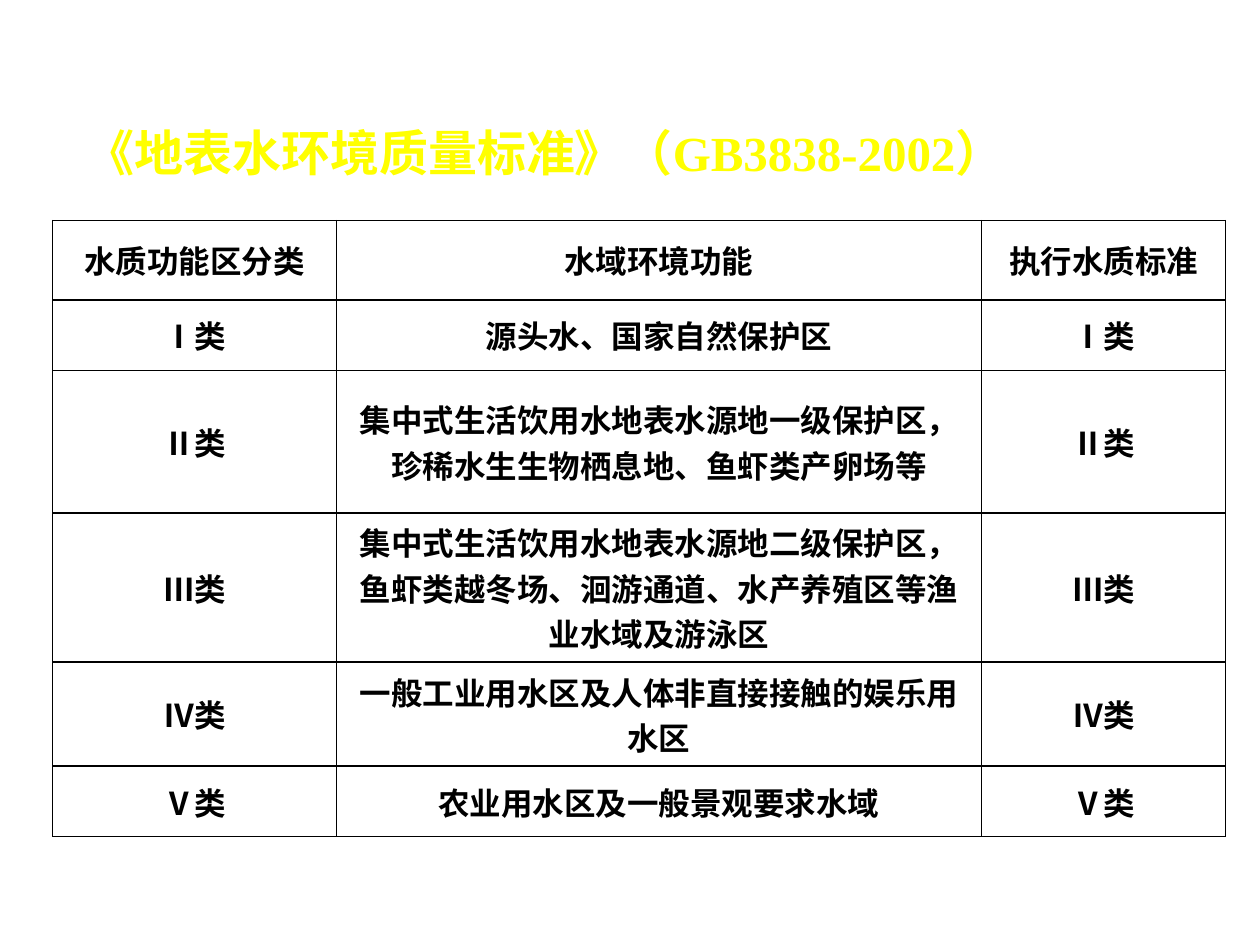
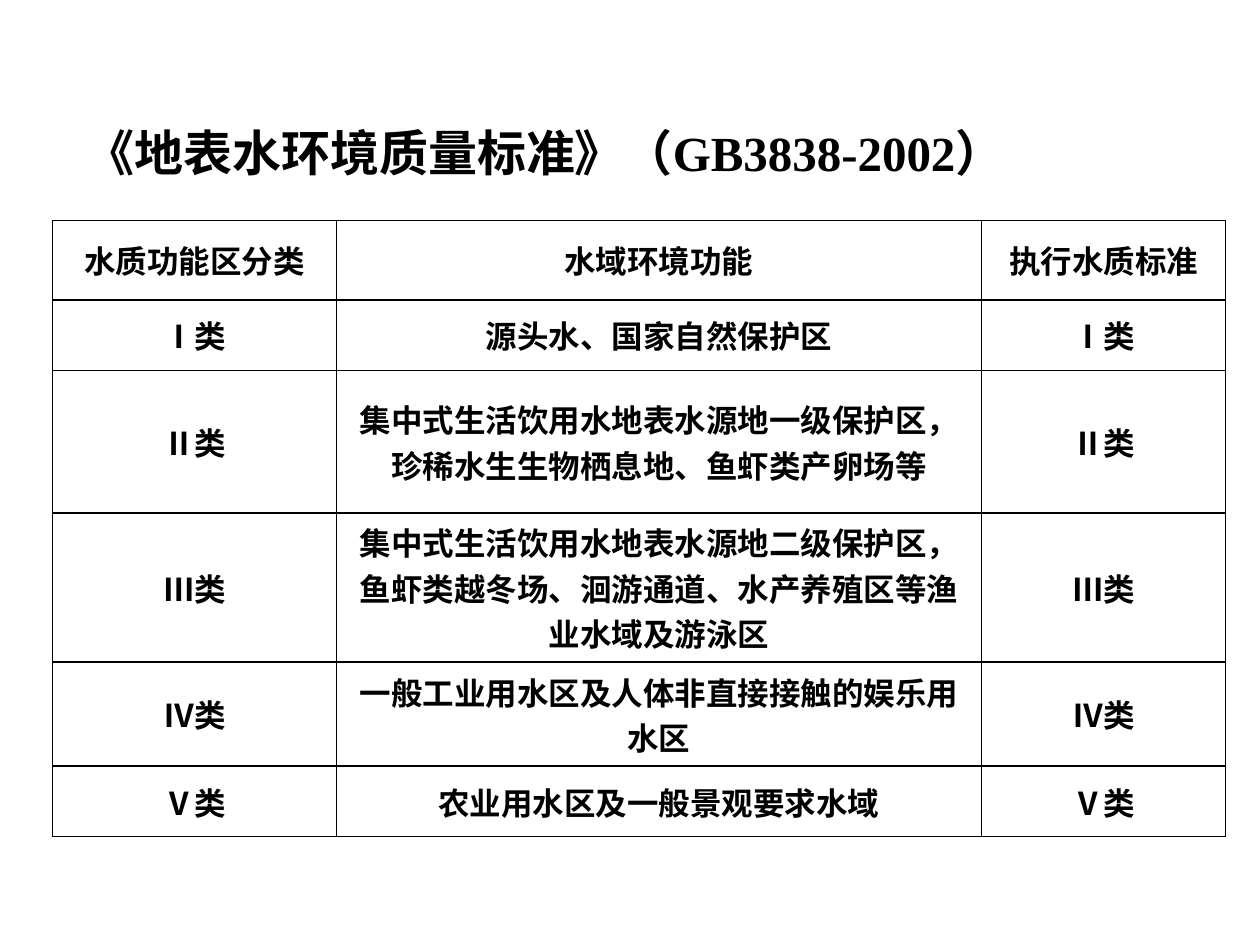
from lxml import etree
from pptx import Presentation
from pptx import util as u
from pptx.dml.color import RGBColor
from pptx.enum import text
from pptx.oxml import ns

COLORS = {"black": "000000", "yellow": "FFFF00"}
FONT = "Times New Roman"
TITLE = "《地表水环境质量标准》（GB3838-2002）"
TITLE_COLORS = ["yellow", "black"]  # one slide for each

HEADINGS = ("水质功能区分类", "水域环境功能", "执行水质标准")
WATER_CLASSES = [
    ("Ⅰ类", "源头水、国家自然保护区"),
    ("Ⅱ类", "集中式生活饮用水地表水源地一级保护区，珍稀水生生物栖息地、鱼虾类产卵场等"),
    ("Ⅲ类", "集中式生活饮用水地表水源地二级保护区，鱼虾类越冬场、洄游通道、水产养殖区等渔业水域及游泳区"),
    ("Ⅳ类", "一般工业用水区及人体非直接接触的娱乐用水区"),
    ("Ⅴ类", "农业用水区及一般景观要求水域"),
]
# The standard applied is the class itself
ROWS = [HEADINGS] + [(name, use, name) for name, use in WATER_CLASSES]
COLUMN_WIDTHS = [2.25, 5.12, 1.94]
ROW_HEIGHTS = [0.63, 0.56, 1.13, 1.13, 0.79, 0.56]


def set_font(paragraph, size, color):
    paragraph.font.name = FONT
    paragraph.font.size = u.Pt(size)
    paragraph.font.bold = True
    paragraph.font.color.rgb = RGBColor.from_string(COLORS[color])


def add_border(cell, side, width):
    properties = cell._tc.get_or_add_tcPr()
    line = etree.SubElement(properties, ns.qn(f"a:ln{side}"), w=str(u.Pt(width)))
    fill = etree.SubElement(line, ns.qn("a:solidFill"))
    etree.SubElement(fill, ns.qn("a:srgbClr"), val=COLORS["black"])


presentation = Presentation()
presentation.slide_width = u.Inches(10)
presentation.slide_height = u.Inches(7.5)

for title_color in TITLE_COLORS:
    slide = presentation.slides.add_slide(presentation.slide_layouts[5])

    # Title
    title = slide.shapes.title
    title.left, title.top = u.Inches(0.58), u.Inches(0.92)
    title.width, title.height = u.Inches(8.98), u.Inches(0.79)
    title.text_frame.text = TITLE
    title.text_frame.vertical_anchor = text.MSO_ANCHOR.TOP
    title.text_frame.auto_size = text.MSO_AUTO_SIZE.NONE
    paragraph = title.text_frame.paragraphs[0]
    paragraph.alignment = text.PP_ALIGN.LEFT
    set_font(paragraph, 28, title_color)

    # Table grid
    table = slide.shapes.add_table(
        len(ROWS), len(HEADINGS), u.Inches(0.42), u.Inches(1.75),
        u.Inches(sum(COLUMN_WIDTHS)), u.Inches(sum(ROW_HEIGHTS))).table
    table.first_row = table.horz_banding = False
    for column, width in zip(table.columns, COLUMN_WIDTHS):
        column.width = u.Inches(width)
    for row, height in zip(table.rows, ROW_HEIGHTS):
        row.height = u.Inches(height)

    # Cells, with a thinner line around the outside
    last_row, last_column = len(ROWS) - 1, len(HEADINGS) - 1
    for row_index, values in enumerate(ROWS):
        for column_index, value in enumerate(values):
            cell = table.cell(row_index, column_index)
            cell.text = value
            cell.vertical_anchor = text.MSO_ANCHOR.MIDDLE
            paragraph = cell.text_frame.paragraphs[0]
            paragraph.alignment = text.PP_ALIGN.CENTER
            set_font(paragraph, 18, "black")
            outer_sides = {"L": column_index == 0, "R": column_index == last_column,
                           "T": row_index == 0, "B": row_index == last_row}
            for side, is_outer in outer_sides.items():
                add_border(cell, side, 0.75 if is_outer else 1)
            cell.fill.background()

presentation.save("out.pptx")
